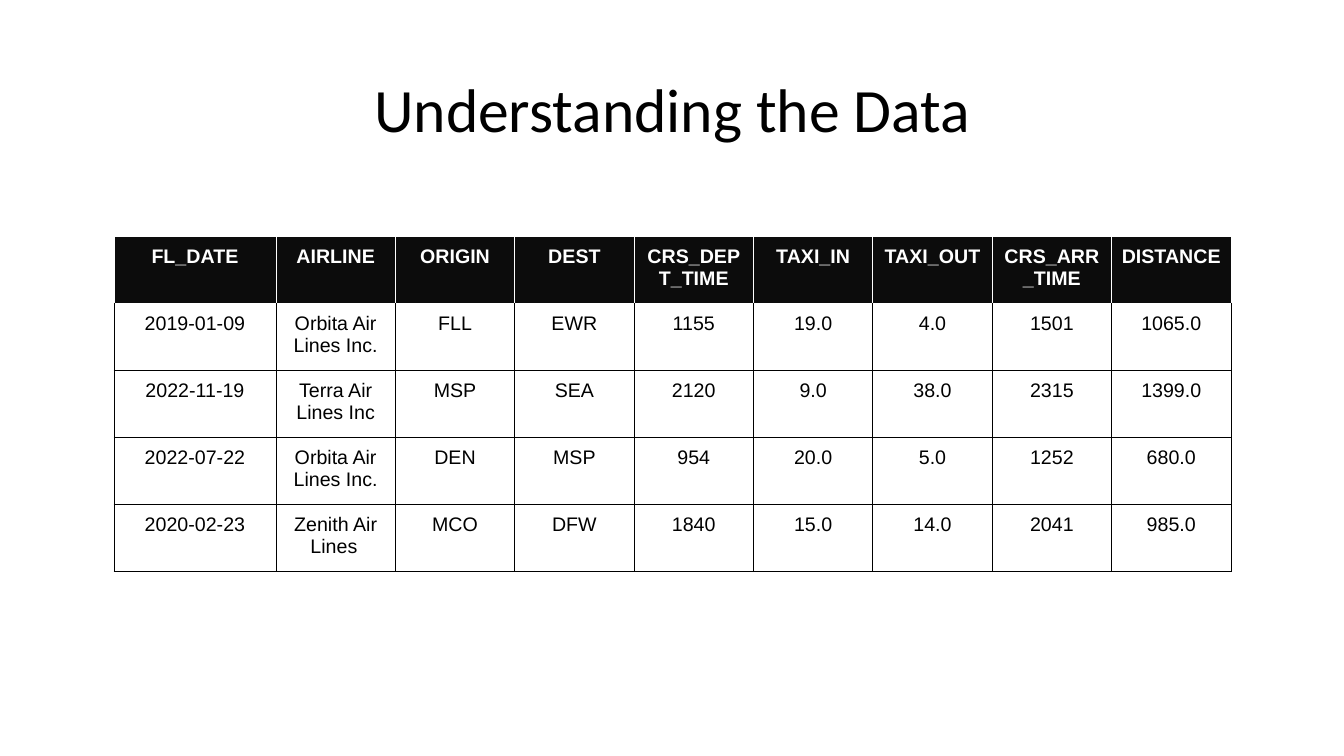
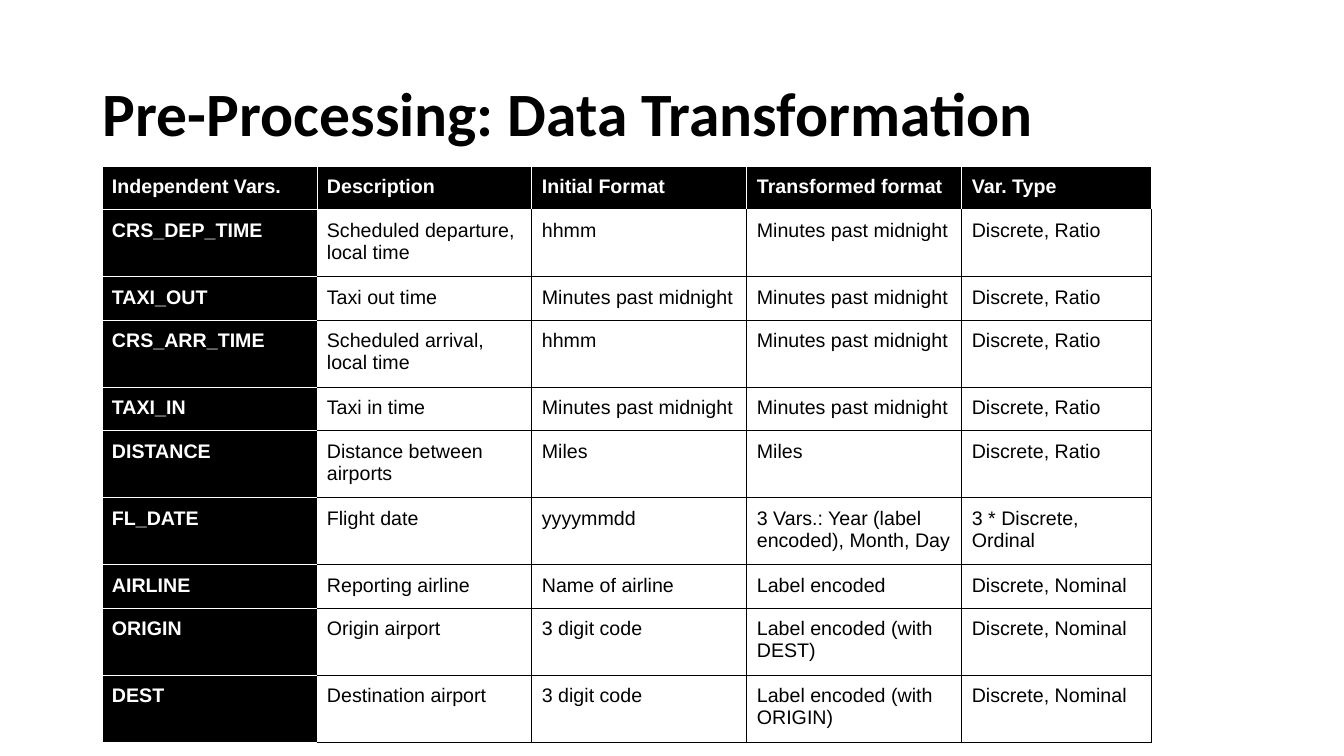
from lxml import etree
from pptx import Presentation
from pptx.dml.color import RGBColor
from pptx.enum.text import MSO_ANCHOR, PP_ALIGN
from pptx.oxml.ns import qn
from pptx.util import Pt

LEFT = PP_ALIGN.LEFT
CENTER = PP_ALIGN.CENTER
MIDDLE = MSO_ANCHOR.MIDDLE

BLACK = RGBColor(0x00, 0x00, 0x00)
NEAR_BLACK = RGBColor(0x0C, 0x0C, 0x0C)
WHITE = RGBColor(0xFF, 0xFF, 0xFF)

PX = 914400 / 100.8
SIDES = (("a:lnL", 0, -1), ("a:lnR", 0, 1), ("a:lnT", -1, 0), ("a:lnB", 1, 0))

FLIGHTS = [
    ["FL_DATE", "AIRLINE", "ORIGIN", "DEST", "CRS_DEPT_TIME", "TAXI_IN",
     "TAXI_OUT", "CRS_ARR_TIME", "DISTANCE"],
    ["2019-01-09", "Orbita Air Lines Inc.", "FLL", "EWR", "1155", "19.0",
     "4.0", "1501", "1065.0"],
    ["2022-11-19", "Terra Air Lines Inc", "MSP", "SEA", "2120", "9.0",
     "38.0", "2315", "1399.0"],
    ["2022-07-22", "Orbita Air Lines Inc.", "DEN", "MSP", "954", "20.0",
     "5.0", "1252", "680.0"],
    ["2020-02-23", "Zenith Air Lines\t", "MCO", "DFW", "1840", "15.0",
     "14.0", "2041", "985.0"],
]

VARIABLES = [
    ["Independent Vars.", "Description", "Initial Format",
     "Transformed format", "Var. Type"],
    ["CRS_DEP_TIME", "Scheduled departure, local time", "hhmm",
     "Minutes past midnight", "Discrete, Ratio"],
    ["TAXI_OUT", "Taxi out time", "Minutes past midnight",
     "Minutes past midnight", "Discrete, Ratio"],
    ["CRS_ARR_TIME", "Scheduled arrival, local time", "hhmm",
     "Minutes past midnight", "Discrete, Ratio"],
    ["TAXI_IN", "Taxi in time", "Minutes past midnight",
     "Minutes past midnight", "Discrete, Ratio"],
    ["DISTANCE", "Distance between airports", "Miles", "Miles",
     "Discrete, Ratio"],
    ["FL_DATE", "Flight date", "yyyymmdd",
     "3 Vars.: Year (label encoded), Month, Day", "3 * Discrete, Ordinal"],
    ["AIRLINE", "Reporting airline", "Name of airline", "Label encoded",
     "Discrete, Nominal"],
    ["ORIGIN", "Origin airport", "3 digit code", "Label encoded (with DEST)",
     "Discrete, Nominal"],
    ["DEST", "Destination airport", "3 digit code",
     "Label encoded (with ORIGIN)", "Discrete, Nominal"],
]


def px(n):
    return round(n * PX)


class Deck:
    title_font, title_size = "Calibri", Pt(44)
    table_font, table_size = "Arial", Pt(14)
    line_width = Pt(0.75)
    one_line, two_lines = 42, 64

    def __init__(self):
        self.prs = Presentation()
        self.prs.slide_width = px(1344)
        self.prs.slide_height = px(756)

    def new_slide(self):
        self.s = self.prs.slides.add_slide(self.prs.slide_layouts[6])

    def style(self, p, font, size, color, bold, align):
        p.alignment = align
        p.font.name = font
        p.font.size = size
        p.font.bold = bold
        p.font.color.rgb = color

    def inset(self, box, x, y):
        box.margin_left = box.margin_right = px(x)
        box.margin_top = box.margin_bottom = px(y)

    def title(self, text, y, align=LEFT, bold=False):
        tf = self.s.shapes.add_textbox(px(93), px(y), px(1159), px(146)).text_frame
        tf.word_wrap = True
        tf.vertical_anchor = MIDDLE
        self.inset(tf, 10, 5)
        p = tf.paragraphs[0]
        p.text = text
        p.line_spacing = 0.9
        self.style(p, self.title_font, self.title_size, BLACK, bold, align)

    def border(self, cell, side, color):
        ln = etree.SubElement(cell._tc.get_or_add_tcPr(), qn(side), w=str(self.line_width))
        fill = etree.SubElement(ln, qn("a:solidFill"))
        etree.SubElement(fill, qn("a:srgbClr"), val=str(color))

    def table(self, x, y, cols, heights, rows, head_fill, align=LEFT, head_column=False):
        def is_head(r, c):
            return r == 0 or (head_column and c == 0)

        table = self.s.shapes.add_table(len(rows), len(cols), px(x), px(y),
                                        px(sum(cols)), px(sum(heights))).table
        table.first_row = table.horz_banding = False
        for column, width in zip(table.columns, cols):
            column.width = px(width)
        for row, height in zip(table.rows, heights):
            row.height = px(height)
        for r, row in enumerate(rows):
            for c, text in enumerate(row):
                cell = table.cell(r, c)
                head = is_head(r, c)
                self.inset(cell, 10, 10)
                for side, dr, dc in SIDES:
                    beside_head = c + dc >= 0 and is_head(r + dr, c + dc)
                    self.border(cell, side, WHITE if head or beside_head else BLACK)
                cell.fill.solid()
                cell.fill.fore_color.rgb = head_fill if head else WHITE
                p = cell.text_frame.paragraphs[0]
                p.text = text
                self.style(p, self.table_font, self.table_size,
                           WHITE if head else BLACK, head, align)


def main():
    deck = Deck()
    one, two = deck.one_line, deck.two_lines

    deck.new_slide()
    deck.title("Understanding the Data", 40, CENTER)
    deck.table(114, 236, [162] + [955 / 8] * 8, [two] * 5, FLIGHTS, NEAR_BLACK, CENTER)

    deck.new_slide()
    deck.table(102, 166, [215] * 4 + [190],
               [one, two, one, two, one, two, two, one, two, two],
               VARIABLES, BLACK, head_column=True)
    deck.title("Pre-Processing: Data Transformation", 44, bold=True)

    deck.prs.save("out.pptx")


if __name__ == "__main__":
    main()
